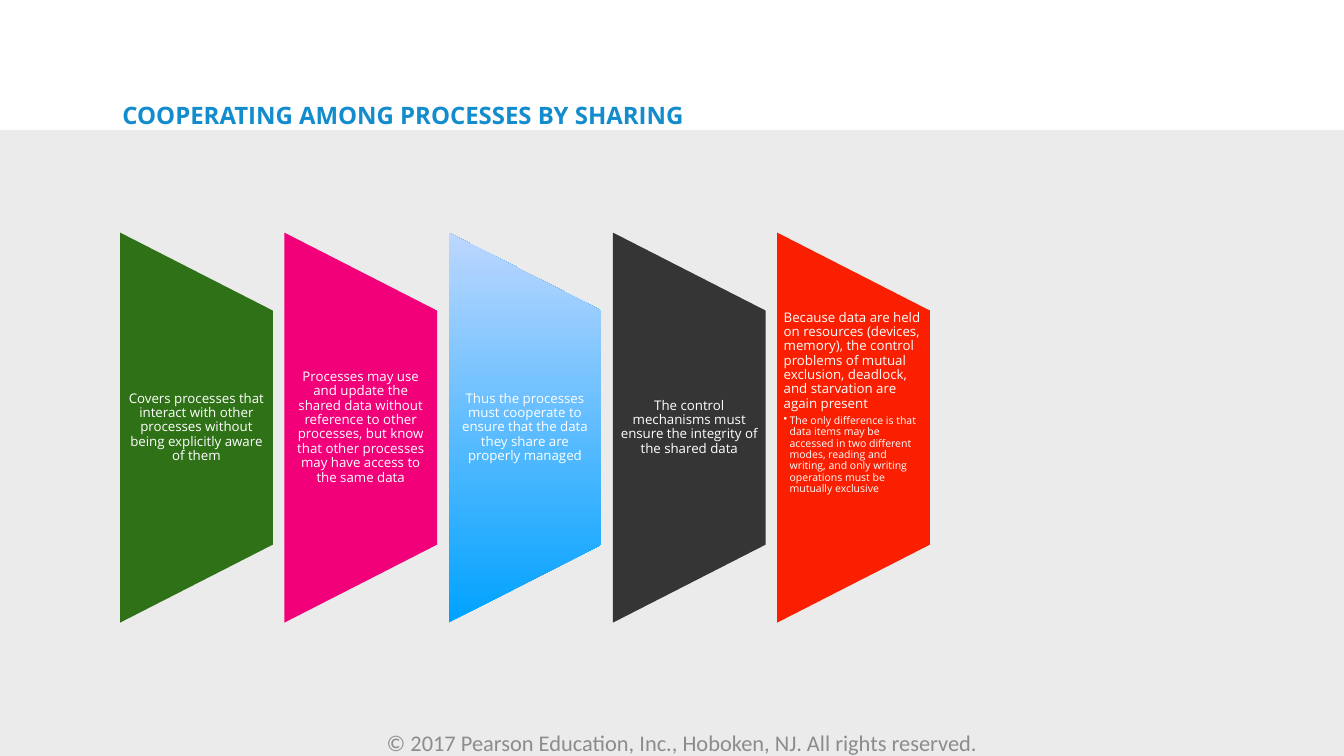
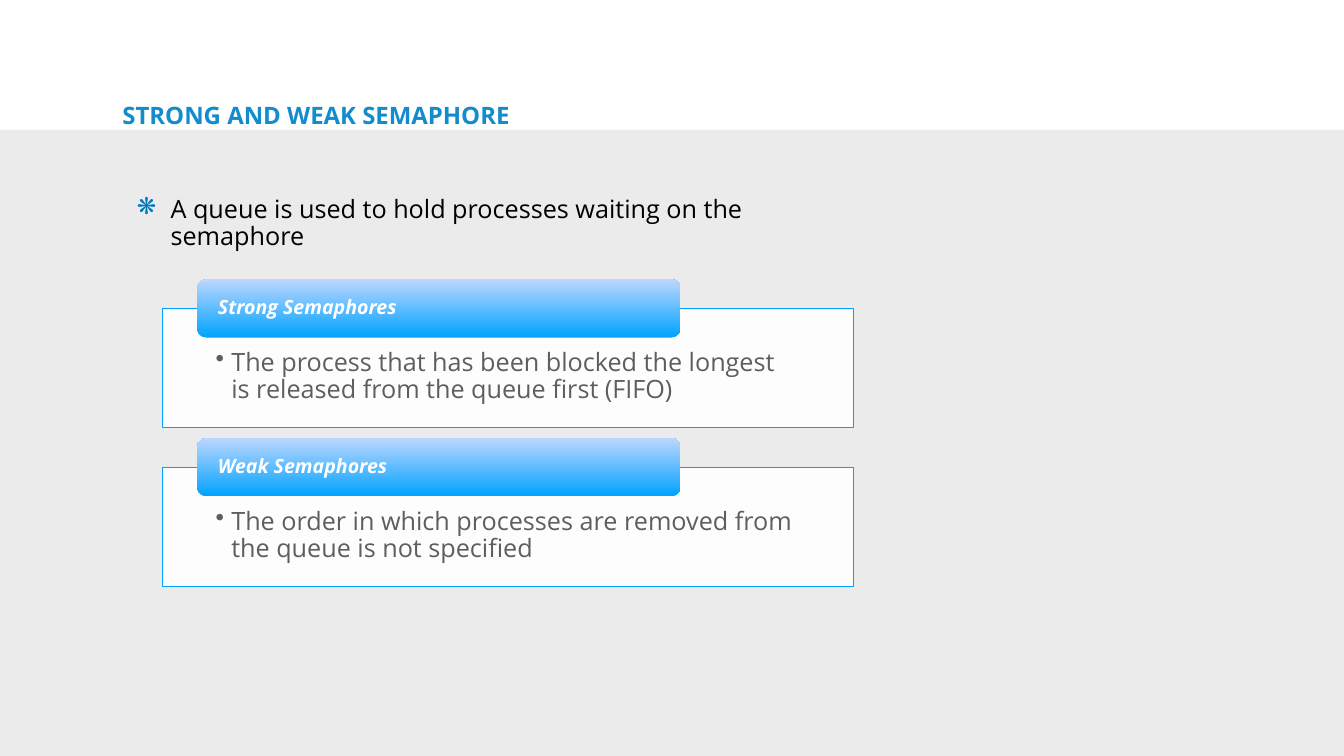
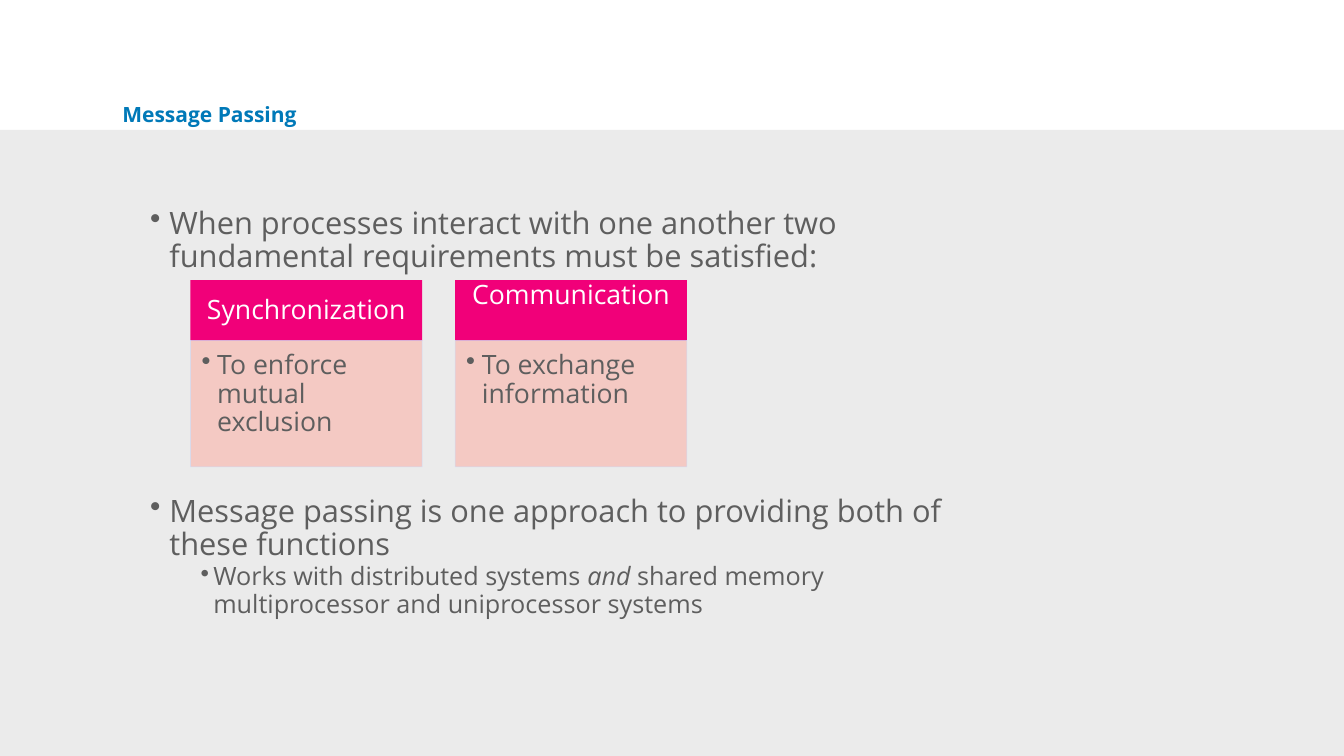
from dataclasses import dataclass, replace

from lxml.etree import SubElement
from pptx import Presentation
from pptx.dml.color import RGBColor
from pptx.enum.shapes import MSO_SHAPE
from pptx.enum.text import MSO_ANCHOR, PP_ALIGN
from pptx.oxml.ns import qn
from pptx.util import Cm, Pt


@dataclass(frozen=True)
class Theme:
    # Colours
    band: str = "EBEBEB"
    title: str = "128CCD"
    title_dark: str = "0079B8"
    footer: str = "8C8C8C"
    body: str = "5E5E5E"
    black: str = "000000"
    white: str = "FFFFFF"
    green: str = "2E7116"
    pink: str = "F10079"
    charcoal: str = "353535"
    red: str = "FA1F00"
    blue: str = "00A2FF"
    pale_blue: str = "BDD7FF"
    salmon: str = "FFA295"
    card_edge: str = "CCE0FF"
    star: str = "0079BF"
    # Fonts and type sizes
    font: str = "Open Sans"
    footer_font: str = "Calibri"
    title_size: float = 34.2
    small_title_size: float = 30
    footer_size: float = 32
    step_size: float = 19
    step_note_size: float = 15
    label_size: float = 28
    text_size: float = 36
    card_size: float = 38
    point_size: float = 44


THEME = Theme()
GRADIENT = (THEME.blue, THEME.pale_blue)
SLIDE_WIDTH, SLIDE_HEIGHT = 67.74, 38.1
BAND_TOP = 6.55


@dataclass(frozen=True)
class Style:
    size: float
    color: str = THEME.body
    font: str = THEME.font
    bold: bool = False
    italic: bool = False
    align: PP_ALIGN = PP_ALIGN.LEFT
    spacing: float = 0.9
    before: float = 0
    level: int = 0
    margin: float = 0
    hang: float = 0
    bullet: str = ""
    bullet_color: str = ""
    bullet_percent: int = 100


STEP = Style(THEME.step_size, THEME.white, align=PP_ALIGN.CENTER)
POINT = Style(THEME.point_size, margin=0.97, hang=0.97, bullet="•")
CARD_POINT = Style(THEME.card_size, margin=0.79, hang=0.79, bullet="•")


# Text
def add_bullet(paragraph, style):
    properties = paragraph._p.get_or_add_pPr()
    properties.set("marL", str(Cm(style.margin)))
    properties.set("indent", str(-Cm(style.hang)))
    if style.bullet_color:
        color = SubElement(properties, qn("a:buClr"))
        SubElement(color, qn("a:srgbClr"), val=style.bullet_color)
    SubElement(properties, qn("a:buSzPct"), val=str(style.bullet_percent * 1000))
    SubElement(properties, qn("a:buChar"), char=style.bullet)


def write(shape, content, insets=(0.25, 0.13, 0.25, 0.13), anchor=MSO_ANCHOR.TOP):
    """Fill a shape with (text, style) pairs; *marked* words turn italic."""
    frame = shape.text_frame
    frame.word_wrap = True
    frame.vertical_anchor = anchor
    frame.margin_left, frame.margin_top, frame.margin_right, frame.margin_bottom = map(Cm, insets)
    for index, (text, style) in enumerate(content):
        paragraph = frame.add_paragraph() if index else frame.paragraphs[0]
        if style.bullet:
            add_bullet(paragraph, style)
        paragraph.level = style.level
        paragraph.alignment = style.align
        paragraph.line_spacing = style.spacing
        if index:
            paragraph.space_before = Pt(style.before)
        for part, words in enumerate(text.split("*")):
            run = paragraph.add_run()
            run.text = words
            run.font.name = style.font
            run.font.size = Pt(style.size)
            run.font.bold = style.bold
            run.font.italic = style.italic or part % 2 == 1
            run.font.color.rgb = RGBColor.from_string(style.color)


def add_text(slide, box, content, **layout):
    write(slide.shapes.add_textbox(*map(Cm, box)), content, **layout)


# Shapes
def set_alpha(parent, percent):
    color = parent.find(qn("a:solidFill"))[0]
    SubElement(color, qn("a:alpha"), val=str(percent * 1000))


def add_block(slide, kind, box, fill, alpha=100, edge=None, edge_alpha=100):
    """Add a shape; a pair of colours as fill gives a gradient from the bottom up."""
    block = slide.shapes.add_shape(kind, *map(Cm, box))
    block.shadow.inherit = False
    properties = block._element.spPr
    if isinstance(fill, tuple):
        block.fill.gradient()
        block.fill.gradient_angle = 90
        for position, (stop, color) in enumerate(zip(block.fill.gradient_stops, fill)):
            stop.position = position
            stop.color.rgb = RGBColor.from_string(color)
        properties.find(qn("a:gradFill")).set("rotWithShape", "0")
    else:
        block.fill.solid()
        block.fill.fore_color.rgb = RGBColor.from_string(fill)
        if alpha < 100:
            set_alpha(properties, alpha)
    if edge:
        block.line.color.rgb = RGBColor.from_string(edge)
        block.line.width = Pt(0.75)
        if edge_alpha < 100:
            set_alpha(properties.find(qn("a:ln")), edge_alpha)
    else:
        block.line.fill.background()
    return block


# Shared page: grey band and title
def add_page(deck, title, color=THEME.title, size=THEME.title_size):
    slide = deck.slides.add_slide(deck.slide_layouts[6])
    add_block(slide, MSO_SHAPE.RECTANGLE,
              (0, BAND_TOP, SLIDE_WIDTH, SLIDE_HEIGHT - BAND_TOP), THEME.band)
    add_text(slide, (6.02, 5.21, 40.87, 1.42),
             [(title, Style(size, color, bold=True, spacing=0.8))], insets=(0.15,) * 4)
    return slide


def add_step(slide, left, color, content, anchor):
    width, length, middle = 7.7, 19.66, 21.55
    panel = add_block(slide, MSO_SHAPE.FLOWCHART_MANUAL_OPERATION,
                      (left + (width - length) / 2, middle - width / 2, length, width), color)
    panel.rotation = 270
    add_text(slide, (left, 15.65, width, 11.79), content,
             insets=(0.33, 0, 0.33, 0), anchor=anchor)


def add_semaphore(slide, top, name, rule):
    definition = add_block(slide, MSO_SHAPE.RECTANGLE, (8.18, top + 1.47, 34.82, 6),
                           THEME.white, alpha=90, edge=THEME.blue)
    rule_style = Style(THEME.text_size, margin=0.79, hang=0.79, bullet="•")
    write(definition, [(rule, rule_style)], insets=(2.69, 2.08, 2.69, 0.71))
    label = add_block(slide, MSO_SHAPE.ROUNDED_RECTANGLE, (9.93, top, 24.38, 2.95), GRADIENT)
    label_style = Style(THEME.label_size, THEME.white, bold=True, italic=True)
    write(label, [(name, label_style)], insets=(0.91, 0, 0.91, 0), anchor=MSO_ANCHOR.MIDDLE)


def add_requirement(slide, left, name, purpose, inset_top, anchor):
    width = 11.68
    heading = add_block(slide, MSO_SHAPE.RECTANGLE, (left, 14.12, width, 3.05), THEME.pink)
    write(heading, [(name, replace(STEP, size=THEME.card_size))],
          insets=(0.76, inset_top, 0.76, 0.43), anchor=anchor)
    card = add_block(slide, MSO_SHAPE.RECTANGLE, (left, 17.15, width, 6.38),
                     THEME.salmon, alpha=46, edge=THEME.card_edge, edge_alpha=90)
    write(card, [(purpose, CARD_POINT)], insets=(0.56, 0.56, 0.76, 0.84))


# Slides
def build_sharing(deck):
    slide = add_page(deck, "COOPERATING AMONG PROCESSES BY SHARING")
    add_text(slide, (6.02, 36.5, 56.72, 1.88),
             [("© 2017 Pearson Education, Inc., Hoboken, NJ. All rights reserved.",
               Style(THEME.footer_size, THEME.footer, THEME.footer_font,
                     align=PP_ALIGN.CENTER, spacing=1.0))],
             anchor=MSO_ANCHOR.MIDDLE)
    note = Style(THEME.step_note_size, THEME.white, before=6, level=1,
                 margin=0.3, hang=0.3, bullet="•")
    steps = [
        (THEME.green, [("Covers processes that interact with other processes without being "
                        "explicitly aware of them", STEP)]),
        (THEME.pink, [("Processes may use and update the shared data without reference to other "
                       "processes, but know that other processes may have access to the same data",
                       STEP)]),
        (GRADIENT, [("Thus the processes must cooperate to ensure that the data they share are "
                     "properly managed", STEP)]),
        (THEME.charcoal, [("The control mechanisms must ensure the integrity of the shared data",
                           STEP)]),
        (THEME.red, [("Because data are held on resources (devices, memory), the control problems "
                      "of mutual exclusion, deadlock, and starvation are again present",
                      replace(STEP, align=PP_ALIGN.LEFT)),
                     ("The only difference is that data items may be accessed in two different "
                      "modes, reading and writing, and only writing operations must be mutually "
                      "exclusive", note)]),
    ]
    for index, (color, content) in enumerate(steps):
        anchor = MSO_ANCHOR.TOP if len(content) > 1 else MSO_ANCHOR.MIDDLE
        add_step(slide, 6.05 + index * 8.28, color, content, anchor)


def build_semaphores(deck):
    slide = add_page(deck, "STRONG AND WEAK SEMAPHORE")
    add_text(slide, (6.65, 9.78, 38.05, 4.42),
             [("A queue is used to hold processes waiting on the semaphore",
               Style(THEME.text_size, THEME.black, margin=1.7, hang=1.7, bullet="❋",
                     bullet_color=THEME.star, bullet_percent=92))])
    semaphores = [
        ("Strong Semaphores",
         "The process that has been blocked the longest is released from the queue first (FIFO)"),
        ("Weak Semaphores",
         "The order in which processes are removed from the queue is not specified"),
    ]
    for index, (name, rule) in enumerate(semaphores):
        add_semaphore(slide, 14.07 + index * 8, name, rule)


def build_messages(deck):
    slide = add_page(deck, "Message Passing", THEME.title_dark, THEME.small_title_size)
    add_text(slide, (7.32, 10.34, 42.98, 3.6),
             [("When processes interact with one another two fundamental requirements "
               "must be satisfied:", POINT)])
    requirements = [
        ("Synchronization", "To enforce mutual exclusion", 0.43, MSO_ANCHOR.MIDDLE),
        ("Communication", "To exchange information", 0.08, MSO_ANCHOR.TOP),
    ]
    for index, requirement in enumerate(requirements):
        add_requirement(slide, 9.6 + index * 13.34, *requirement)
    add_text(slide, (7.32, 24.84, 42.98, 8.08),
             [("Message passing is one approach to providing both of these functions", POINT),
              ("Works with distributed systems *and* shared memory multiprocessor and "
               "uniprocessor systems",
               Style(THEME.text_size, before=3, level=2, margin=3.18, hang=0.64, bullet="•"))])


def main():
    deck = Presentation()
    deck.slide_width, deck.slide_height = Cm(SLIDE_WIDTH), Cm(SLIDE_HEIGHT)
    build_sharing(deck)
    build_semaphores(deck)
    build_messages(deck)
    deck.save("out.pptx")


if __name__ == "__main__":
    main()
